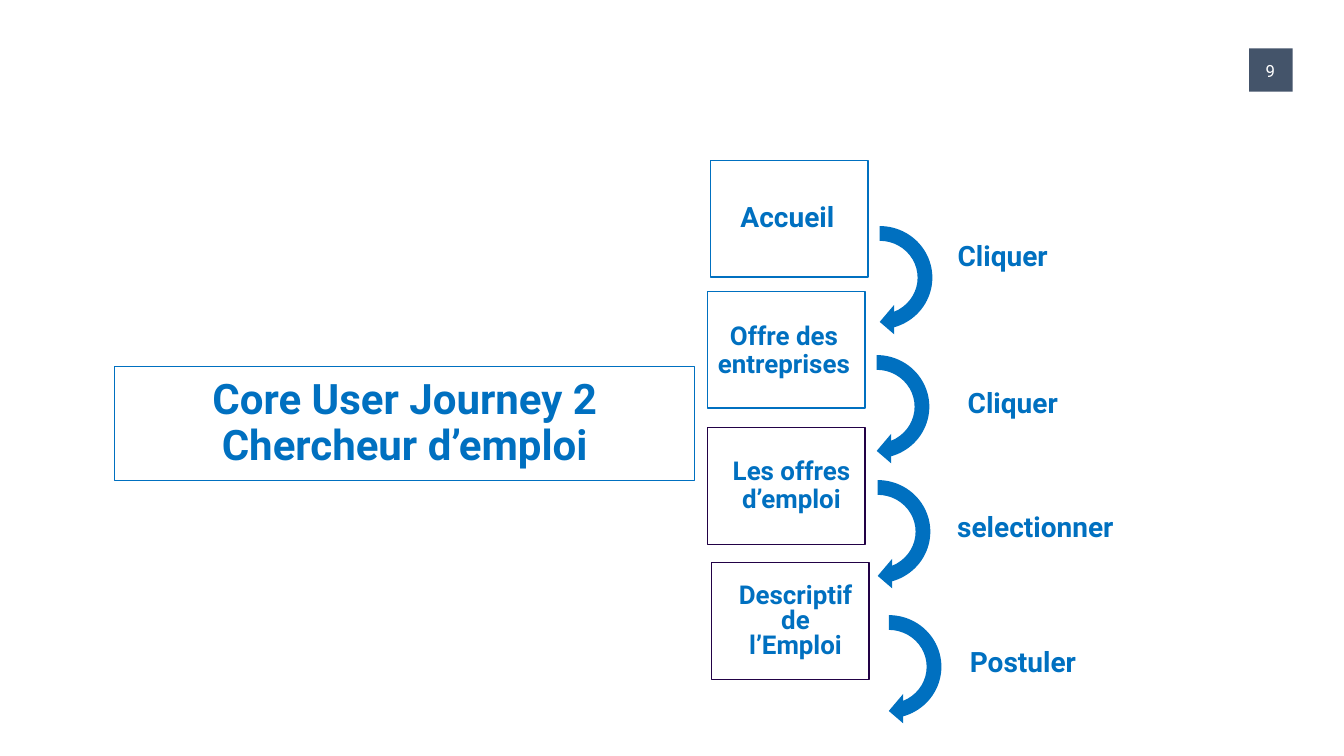
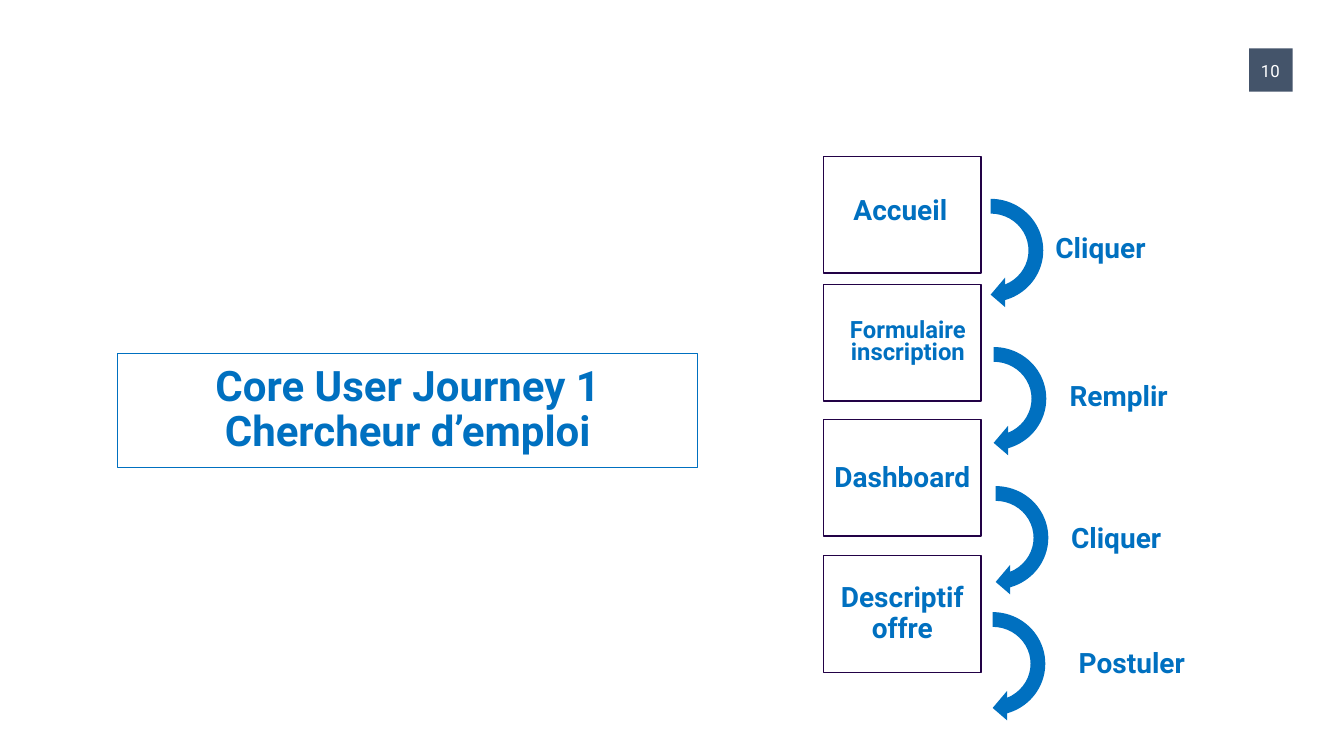
from dataclasses import dataclass
from pptx import Presentation
from pptx.dml.color import RGBColor as RGB
from pptx.enum.shapes import MSO_SHAPE as Kind
from pptx.enum.text import MSO_ANCHOR as Anchor, PP_ALIGN as Align
from pptx.util import Inches, Pt

COLS, ROWS = 13.33, 7.5
CELL = Inches(1)
HUES = {"blue": "0070C0", "plum": "220146", "slate": "44546A", "white": "FFFFFF"}
FONT = "Roboto"
BOX = (1.56, 1.16)
ARC = (1.17, 1.19)
TITLE = (5.75, 1.13)
TEXT_H = 0.9
BADGE = (12.39, 0.48, 0.43, 0.43)
NUMBER = (12.36, 0.53, 0.48, 0.34)


@dataclass
class Step:
    """One screen of the journey and the action that leaves it."""
    text: str
    box: tuple
    words: tuple  # left, top, width of the box text
    arc: tuple
    action: str
    label: tuple  # left, top, width of the action text
    edge: str = "plum"
    size: float = 20
    gap: float = 0.9
    tall: float = TEXT_H


def place(*cells):
    """Turn grid columns and rows into slide lengths."""
    return [round(cell * CELL) for cell in cells]


def hue(name):
    """Look up a named colour."""
    return RGB.from_string(HUES[name])


def write(shape, text, size=20, tint="blue", bold=True, gap=0.9):
    """Fill a shape with centred lines of text."""
    frame = shape.text_frame
    for key, value in {"word_wrap": True, "vertical_anchor": Anchor.MIDDLE}.items():
        setattr(frame, key, value)
    for i, line in enumerate(text.split("\n")):
        para = frame.add_paragraph() if i else frame.paragraphs[0]
        for key, value in {"alignment": Align.CENTER, "line_spacing": gap}.items():
            setattr(para, key, value)
        run = para.add_run()
        run.text = line
        for key, value in {"name": FONT, "size": Pt(size), "bold": bold}.items():
            setattr(run.font, key, value)
        run.font.color.rgb = hue(tint)


def label(slide, text, area, **style):
    """Add a free text box."""
    write(slide.shapes.add_textbox(*place(*area)), text, **style)


def draw(slide, kind, area, fill=None, edge=None, width=1):
    """Add a flat shape with an optional fill and edge."""
    shape = slide.shapes.add_shape(kind, *place(*area))
    shape.shadow.inherit = False
    if fill:
        shape.fill.solid()
        shape.fill.fore_color.rgb = hue(fill)
    else:
        shape.fill.background()
    if edge:
        shape.line.color.rgb = hue(edge)
        shape.line.width = Pt(width)
    else:
        shape.line.fill.background()
    return shape


def badge(slide, number):
    """Add the page number on its square."""
    draw(slide, Kind.RECTANGLE, BADGE, fill="slate")
    label(slide, str(number), NUMBER, size=12, tint="white", bold=False, gap=1.0)


def title(slide, text, spot):
    """Add the framed slide title."""
    frame = draw(slide, Kind.RECTANGLE, spot + TITLE, "white", "blue", 0.75)
    write(frame, text, size=30)


def stage(slide, step):
    """Add a step box, its curved arrow and the action beside it."""
    draw(slide, Kind.RECTANGLE, step.box + BOX, edge=step.edge)
    label(slide, step.text, step.words + (TEXT_H,), size=step.size, gap=step.gap)
    arc = draw(slide, Kind.CIRCULAR_ARROW, step.arc + ARC, fill="blue")
    arc.rotation = 90
    label(slide, step.action, step.label + (step.tall,))


OFFERS = [
    Step("Accueil", (7.05, 1.59), (7.16, 1.72, 1.3), (8.14, 2.16),
         "Cliquer", (9.27, 2.1, 1.35), edge="blue"),
    Step("Offre des entreprises", (7.02, 2.89), (6.99, 3.03, 1.57), (8.11, 3.44),
         "Cliquer", (9.37, 3.56, 1.35), edge="blue", size=18.5),
    Step("Les offres d’emploi", (7.02, 4.24), (7.13, 4.37, 1.44), (8.12, 4.68),
         "selectionner", (9.37, 4.79, 1.8), size=18.5),
    Step("Descriptif de l’Emploi", (7.06, 5.58), (7.17, 5.72, 1.44), (8.23, 6.02),
         "Postuler", (9.47, 6.13, 1.35), size=18.5, gap=0.8),
]
SIGNUP = [
    Step("Accueil", (8.17, 1.55), (8.28, 1.65, 1.3), (9.24, 1.89),
         "Cliquer", (10.24, 2.02, 1.35)),
    Step("Formulaire inscription", (8.17, 2.82), (8.28, 2.95, 1.45), (9.27, 3.36),
         "Remplir", (10.42, 3.49, 1.35), size=17, gap=0.8),
    Step("Dashboard", (8.17, 4.16), (8.17, 4.3, 1.56), (9.29, 4.74),
         "Cliquer", (10.49, 4.9, 1.16)),
    Step("Descriptif\noffre", (8.17, 5.51), (8.17, 5.64, 1.56), (9.26, 5.99),
         "Postuler", (10.55, 6.26, 1.35), tall=0.66),
]
PAGES = [
    (9, "Core User Journey 2\nChercheur d’emploi", (1.14, 3.64), OFFERS),
    (10, "Core User Journey 1\nChercheur d’emploi", (1.17, 3.51), SIGNUP),
]


def main():
    """Build both journey slides and save the deck."""
    deck = Presentation()
    deck.slide_width, deck.slide_height = place(COLS, ROWS)
    for number, text, spot, steps in PAGES:
        slide = deck.slides.add_slide(deck.slide_layouts[6])
        badge(slide, number)
        title(slide, text, spot)
        for step in steps:
            stage(slide, step)
    deck.save("out.pptx")


main()
